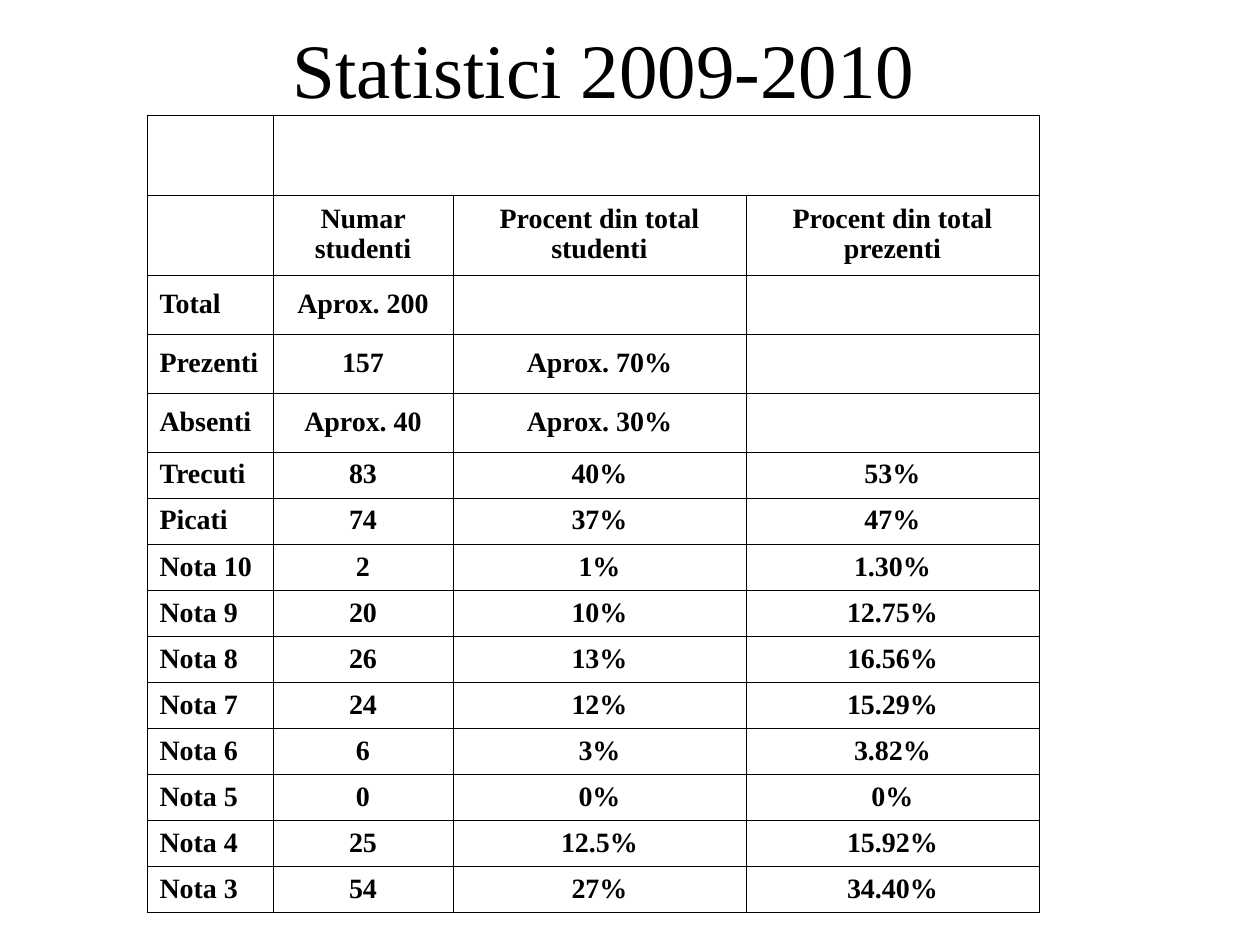
from lxml.etree import SubElement
from pptx import Presentation
from pptx.dml.color import RGBColor
from pptx.enum.text import MSO_ANCHOR, PP_ALIGN
from pptx.oxml.ns import qn
from pptx.util import Inches, Pt

# Content
TITLE = "Statistici 2009-2010"
ROWS = [
    ("", "", "", ""),
    ("", "Numar studenti", "Procent din total studenti", "Procent din total prezenti"),
    ("Total", "Aprox. 200", "", ""),
    ("Prezenti", "157", "Aprox. 70%", ""),
    ("Absenti", "Aprox. 40", "Aprox. 30%", ""),
    ("Trecuti", "83", "40%", "53%"),
    ("Picati", "74", "37%", "47%"),
    ("Nota 10", "2", "1%", "1.30%"),
    ("Nota 9", "20", "10%", "12.75%"),
    ("Nota 8", "26", "13%", "16.56%"),
    ("Nota 7", "24", "12%", "15.29%"),
    ("Nota 6", "6", "3%", "3.82%"),
    ("Nota 5", "0", "0%", "0%"),
    ("Nota 4", "25", "12.5%", "15.92%"),
    ("Nota 3", "54", "27%", "34.40%"),
]

# Layout in px
PX = Inches(1) / 126
COL_WIDTHS = [126, 180, 293, 293]
HEADER_ROWS, TALL_ROWS = 2, 3
TABLE_X, TABLE_Y, TABLE_H = 147, 115, 798
HEADER_H, TALL_H = 80, 59
GRADE_ROWS = len(ROWS) - HEADER_ROWS - TALL_ROWS
GRADE_H = (TABLE_H - HEADER_ROWS * HEADER_H - TALL_ROWS * TALL_H) / GRADE_ROWS
ROW_HEIGHTS = [HEADER_H] * HEADER_ROWS + [TALL_H] * TALL_ROWS + [GRADE_H] * GRADE_ROWS

FONT = "Times New Roman"
BLACK = RGBColor(0, 0, 0)
BORDER = Pt(0.34)


def px(n):
    return round(n * PX)


def write(tf, text, size, bold=False, align=PP_ALIGN.CENTER, spacing=None):
    p = tf.paragraphs[0]
    p.alignment = align
    p.line_spacing = spacing
    r = p.add_run()
    r.text = text
    r.font.name, r.font.size, r.font.bold = FONT, Pt(size), bold
    r.font.color.rgb = BLACK


def add_borders(cell):
    tc_pr = cell._tc.get_or_add_tcPr()
    for side in ("lnL", "lnR", "lnT", "lnB"):
        ln = SubElement(tc_pr, qn(f"a:{side}"), w=str(BORDER))
        fill = SubElement(ln, qn("a:solidFill"))
        SubElement(fill, qn("a:srgbClr"), val=str(BLACK))


prs = Presentation()
prs.slide_width, prs.slide_height = px(1260), px(945)
s = prs.slides.add_slide(prs.slide_layouts[5])

# Title
title = s.shapes.title
title.left, title.top, title.width, title.height = px(168), px(0), px(872), px(136)
title.text_frame.vertical_anchor = MSO_ANCHOR.MIDDLE
write(title.text_frame, TITLE, 44)

# Table grid
table = s.shapes.add_table(len(ROWS), len(COL_WIDTHS), px(TABLE_X), px(TABLE_Y),
                           px(sum(COL_WIDTHS)), px(TABLE_H)).table
table.first_row = table.horz_banding = False
for col, width in zip(table.columns, COL_WIDTHS):
    col.width = px(width)
for row, height in zip(table.rows, ROW_HEIGHTS):
    row.height = px(height)
table.cell(0, 1).merge(table.cell(0, 3))

# Table cells
for i, values in enumerate(ROWS):
    for j, value in enumerate(values):
        cell = table.cell(i, j)
        add_borders(cell)
        cell.fill.background()
        cell.vertical_anchor = MSO_ANCHOR.MIDDLE
        if value:
            align = PP_ALIGN.CENTER if j else PP_ALIGN.LEFT
            write(cell.text_frame, value, 16, bold=True, align=align, spacing=0.96)

prs.save("out.pptx")
